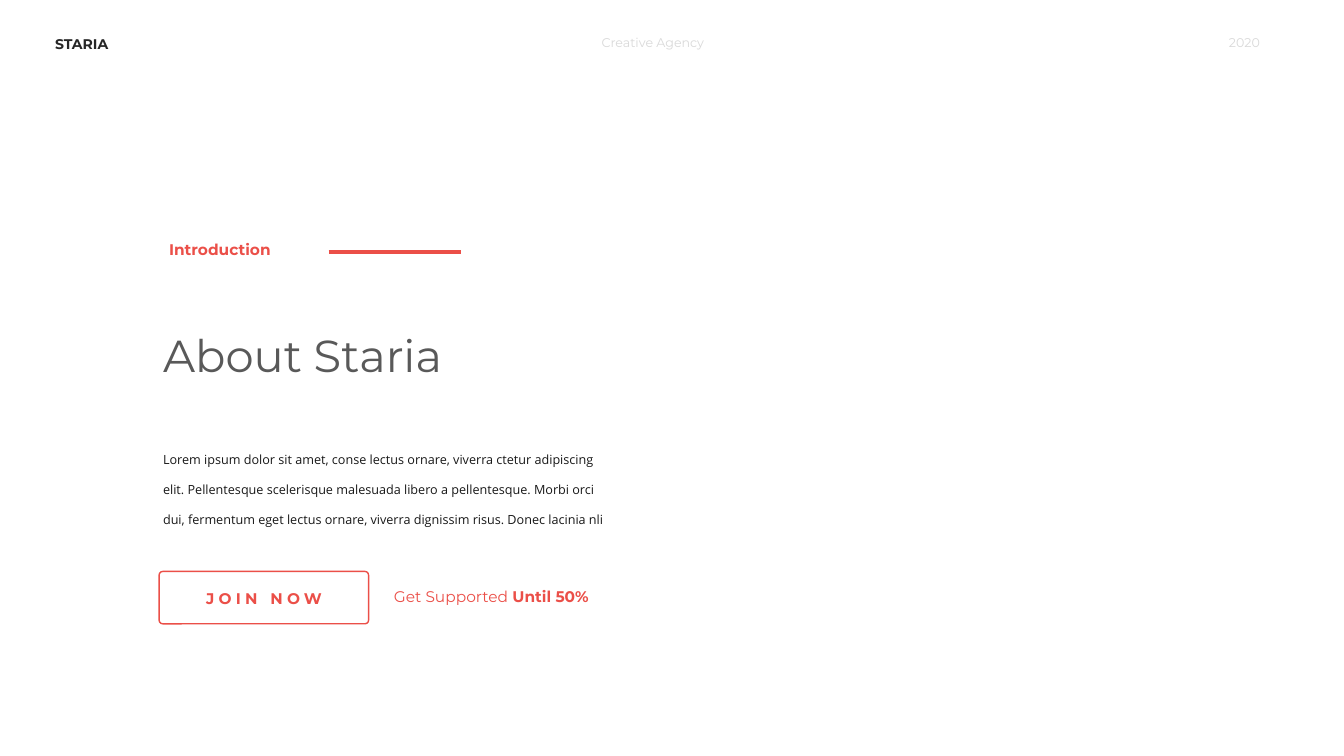
"""Build the introduction page of an agency deck."""
import dataclasses

import lxml.etree
import pptx
import pptx.dml.color
import pptx.enum.shapes
import pptx.enum.text
import pptx.oxml.ns
import pptx.util

Cm = pptx.util.Cm
Pt = pptx.util.Pt
Align = pptx.enum.text.PP_ALIGN


@dataclasses.dataclass(frozen=True)
class Theme:
    """Colours, fonts and type sizes of the deck."""
    accent: str = "EB4F48"
    paper: str = "FFFFFF"
    brand: str = "262626"
    faint: str = "D9D9D9"
    heading: str = "595959"
    body: str = "181818"
    display_font: str = "Montserrat"
    body_font: str = "Open Sans"
    title_size: int = 32
    label_size: int = 11
    brand_size: int = 10
    small_size: int = 9


class PageBuilder:
    """Draw styled elements on the current slide."""

    def __init__(self, page, theme):
        self.page = page
        self.theme = theme

    def text(self, place, spans, size, colour, font=None, bold=False,
             align=Align.LEFT, line_spacing=None, tracking=None):
        """Add one paragraph whose spans are (words, bold) pairs or a string."""
        box = self.page.shapes.add_textbox(*map(Cm, place))
        frame = box.text_frame
        frame.word_wrap = True
        frame.auto_size = pptx.enum.text.MSO_AUTO_SIZE.SHAPE_TO_FIT_TEXT
        para = frame.paragraphs[0]
        para.alignment = align
        if line_spacing:
            para.line_spacing = line_spacing
        para.font.name = font or self.theme.display_font
        para.font.size = Pt(size)
        para.font.color.rgb = pptx.dml.color.RGBColor.from_string(colour)
        if isinstance(spans, str):
            para.font.bold = bold
            para.add_run().text = spans
        else:
            for words, strong in spans:
                span = para.add_run()
                span.text = words
                span.font.bold = strong
        if tracking:
            defaults = para._p.pPr.find(pptx.oxml.ns.qn("a:defRPr"))
            defaults.set("spc", str(tracking * 100))

    def rule(self, left, top, width):
        """Add a horizontal accent line."""
        line = self.page.shapes.add_connector(
            pptx.enum.shapes.MSO_CONNECTOR.STRAIGHT,
            Cm(left), Cm(top), Cm(left + width), Cm(top))
        self.outline(line, 2.25)
        lxml.etree.SubElement(line._element.spPr, pptx.oxml.ns.qn("a:effectLst"))

    def button(self, place):
        """Add an outlined rounded button."""
        shape = self.page.shapes.add_shape(
            pptx.enum.shapes.MSO_SHAPE.ROUNDED_RECTANGLE, *map(Cm, place))
        shape.adjustments[0] = 0.07
        shape.shadow.inherit = False
        shape.fill.solid()
        shape.fill.fore_color.rgb = pptx.dml.color.RGBColor.from_string(self.theme.paper)
        self.outline(shape, 1)

    def outline(self, shape, width):
        """Give a shape an accent line."""
        shape.line.color.rgb = pptx.dml.color.RGBColor.from_string(self.theme.accent)
        shape.line.width = Pt(width)


def main():
    """Create and save the deck."""
    deck = pptx.Presentation()
    deck.slide_width, deck.slide_height = Cm(33.87), Cm(19.05)
    theme = Theme()
    page = PageBuilder(deck.slides.add_slide(deck.slide_layouts[6]), theme)

    page.text((1.14, 0.76, 2.72, 0.68), "STARIA", theme.brand_size, theme.brand, bold=True)
    for left, words, align in ((14.91, "Creative Agency", Align.LEFT),
                               (27.99, "2020", Align.RIGHT)):
        page.text((left, 0.76, 4.01, 0.64), words, theme.small_size, theme.faint, align=align)

    page.text((4.01, 5.92, 3.3, 0.73), "Introduction", theme.label_size, theme.accent, bold=True)
    page.rule(8.28, 6.35, 3.33)
    page.text((3.86, 8.13, 11.38, 1.62), "About Staria", theme.title_size, theme.heading)
    page.text((3.86, 10.87, 11.63, 2.46),
              "Lorem ipsum dolor sit amet, conse lectus ornare, viverra ctetur adipiscing "
              "elit. Pellentesque scelerisque malesuada libero a pellentesque. Morbi orci "
              "dui, fermentum eget lectus ornare, viverra dignissim risus. Donec lacinia nli",
              theme.small_size, theme.body, font=theme.body_font, line_spacing=2)

    page.button((4.01, 14.4, 5.28, 1.32))
    page.text((4.47, 14.71, 4.37, 0.73), "JOIN NOW", theme.label_size, theme.accent,
              bold=True, align=Align.CENTER, tracking=3)
    page.text((9.68, 14.66, 5.82, 0.73), (("Get Supported ", False), ("Until 50%", True)),
              theme.label_size, theme.accent)

    deck.save("out.pptx")


if __name__ == "__main__":
    main()
